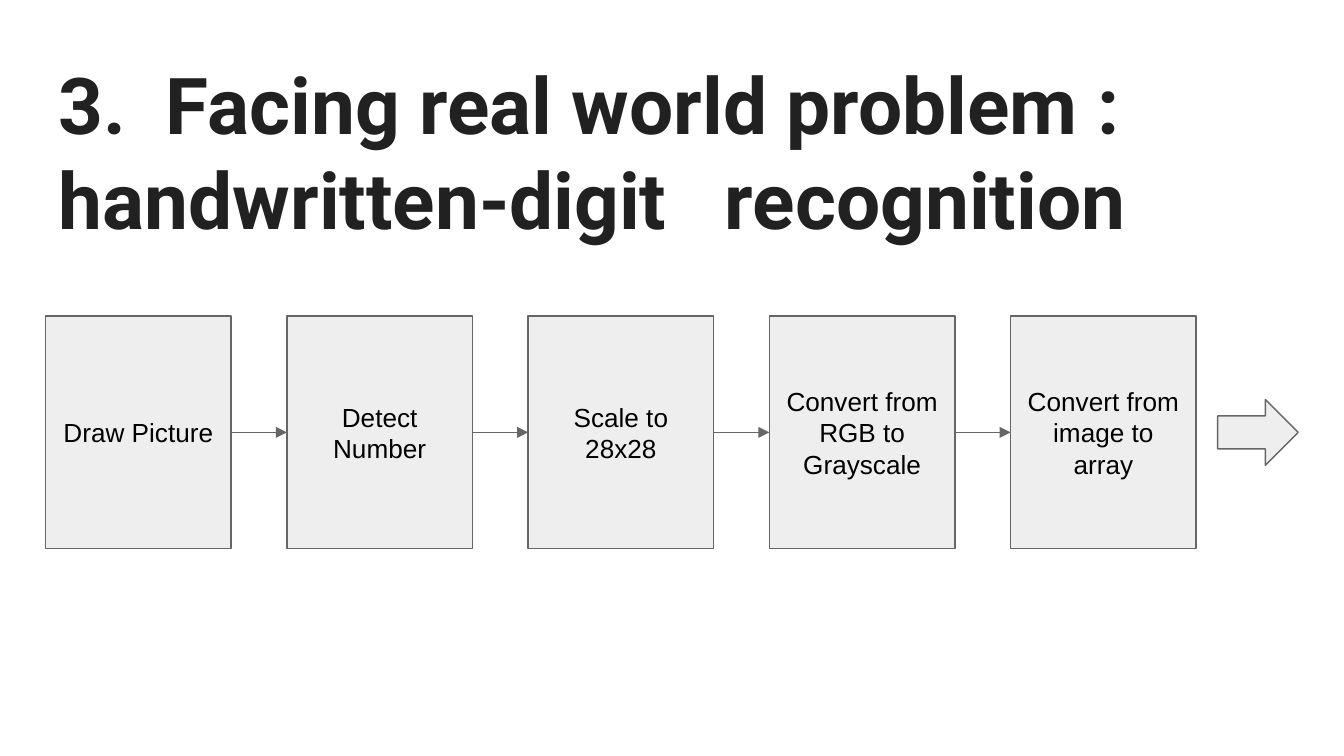
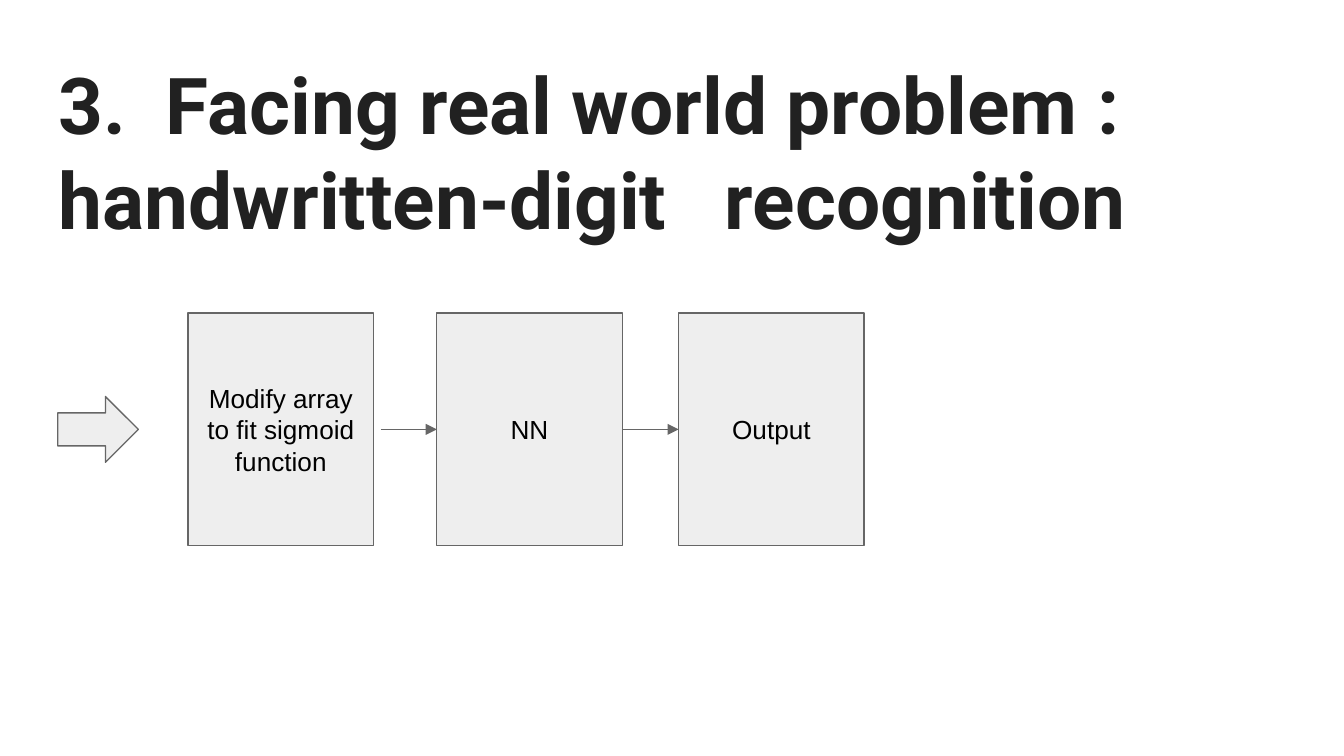
import pptx
import pptx.util
import pptx.dml.color
import pptx.enum.shapes
import pptx.enum.text
import pptx.oxml.ns
import lxml.etree

COLORS = {"paper": "FFFFFF", "title": "212121", "label": "000000",
          "fill": "EEEEEE", "outline": "666666"}
FONTS = {
    "title": {"name": "Roboto", "size": pptx.util.Pt(42), "bold": True},
    "label": {"name": "Arial", "size": pptx.util.Pt(14), "bold": False},
}
FRAMES = {
    "title": {"word_wrap": True, "vertical_anchor": pptx.enum.text.MSO_ANCHOR.TOP},
    "label": {"word_wrap": True, "vertical_anchor": pptx.enum.text.MSO_ANCHOR.MIDDLE},
}
ALIGNMENTS = {"title": pptx.enum.text.PP_ALIGN.LEFT,
              "label": pptx.enum.text.PP_ALIGN.CENTER}
MARGINS = ("margin_left", "margin_top", "margin_right", "margin_bottom")
TITLE = "3.  Facing real world problem : handwritten-digit   recognition"

deck = pptx.Presentation()
deck.slide_width = pptx.util.Inches(10)
deck.slide_height = deck.slide_width * 9 // 16
column = deck.slide_width / 100
row = deck.slide_height / 100

STEP_WIDTH, STEP_HEIGHT = 13.8 * column, 30.8 * row
STEP_GAP = 4.15 * column
BLOCK_WIDTH, BLOCK_HEIGHT = 6 * column, 8.7 * row

SLIDES = [
    {"top": 41.8, "block_arrow": 90.6,
     "steps": [(3.4, "Draw Picture"), (21.35, "Detect Number"), (39.3, "Scale to 28x28"),
               (57.25, "Convert from RGB to Grayscale"),
               (75.2, "Convert from image to array")]},
    {"top": 41.4, "block_arrow": 4.3,
     "steps": [(14, "Modify array to fit sigmoid function"), (32.5, "NN"),
               (50.5, "Output")]},
]


def write(box, text, style):
    frame = box.text_frame
    for name, value in FRAMES[style].items():
        setattr(frame, name, value)
    for name in MARGINS:
        setattr(frame, name, pptx.util.Inches(0.1))
    para = frame.paragraphs[0]
    para.alignment = ALIGNMENTS[style]
    span = para.add_run()
    span.text = text
    for name, value in FONTS[style].items():
        setattr(span.font, name, value)
    span.font.color.rgb = pptx.dml.color.RGBColor.from_string(COLORS[style])


def add_outlined(page, kind, left, top, width, height):
    shape = page.shapes.add_shape(kind, int(left), int(top), int(width), int(height))
    shape.shadow.inherit = False
    shape.fill.solid()
    shape.fill.fore_color.rgb = pptx.dml.color.RGBColor.from_string(COLORS["fill"])
    shape.line.color.rgb = pptx.dml.color.RGBColor.from_string(COLORS["outline"])
    shape.line.width = pptx.util.Pt(0.75)
    return shape


for content in SLIDES:
    page = deck.slides.add_slide(deck.slide_layouts[6])
    page.background.fill.solid()
    page.background.fill.fore_color.rgb = pptx.dml.color.RGBColor.from_string(COLORS["paper"])

    heading = page.shapes.add_textbox(int(3.4 * column), int(5.7 * row),
                                      int(93.2 * column), int(28.3 * row))
    write(heading, TITLE, "title")

    top = content["top"] * row
    middle = top + STEP_HEIGHT / 2
    add_outlined(page, pptx.enum.shapes.MSO_SHAPE.RIGHT_ARROW,
                 content["block_arrow"] * column, middle - BLOCK_HEIGHT / 2,
                 BLOCK_WIDTH, BLOCK_HEIGHT)

    for number, (position, label) in enumerate(content["steps"]):
        left = position * column
        step = add_outlined(page, pptx.enum.shapes.MSO_SHAPE.RECTANGLE,
                            left, top, STEP_WIDTH, STEP_HEIGHT)
        write(step, label, "label")
        if number == 0:
            continue
        link = page.shapes.add_connector(pptx.enum.shapes.MSO_CONNECTOR.STRAIGHT,
                                         int(left - STEP_GAP), int(middle),
                                         int(left), int(middle))
        link.line.color.rgb = pptx.dml.color.RGBColor.from_string(COLORS["outline"])
        link.line.width = pptx.util.Pt(0.75)
        head = lxml.etree.SubElement(link.line._get_or_add_ln(), pptx.oxml.ns.qn("a:tailEnd"))
        for name, value in {"type": "triangle", "w": "med", "len": "med"}.items():
            head.set(name, value)
        lxml.etree.SubElement(link._element.spPr, pptx.oxml.ns.qn("a:effectLst"))

deck.save("out.pptx")
